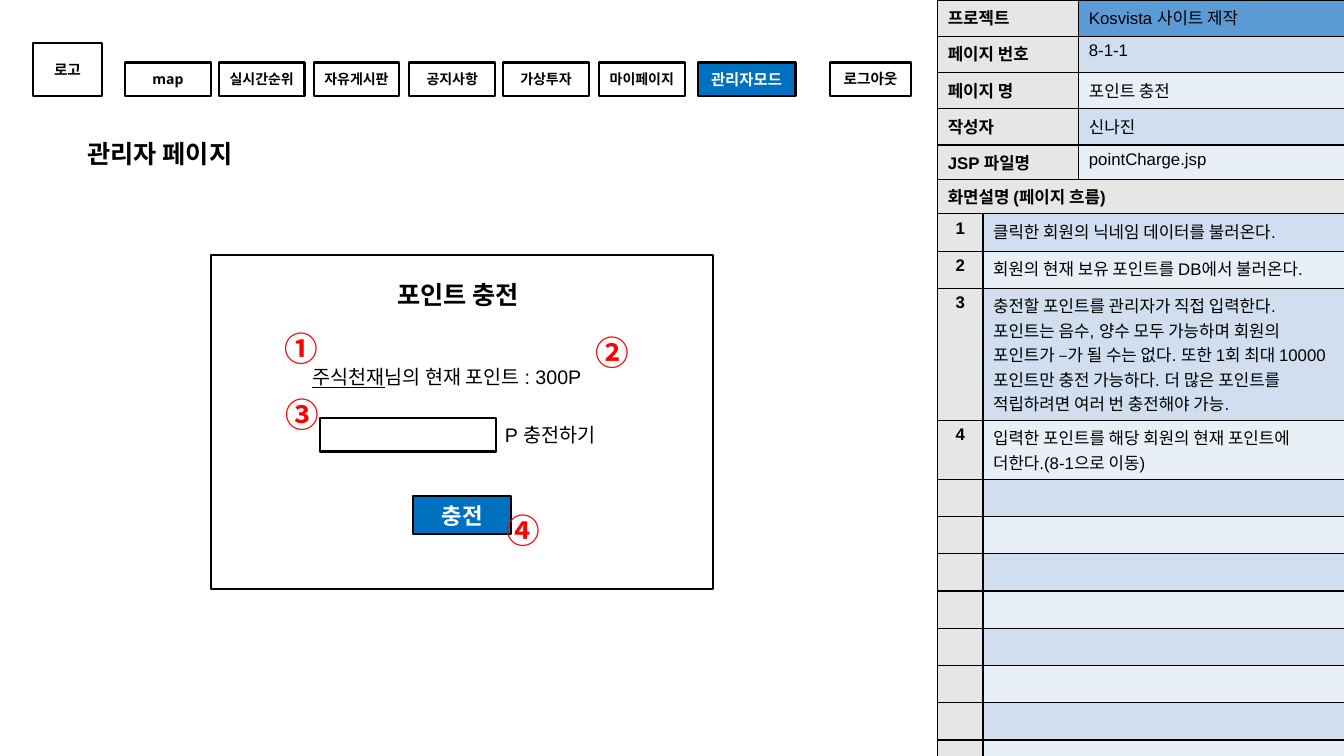
from lxml import etree
from pptx import Presentation
from pptx import util as u
from pptx.dml.color import RGBColor
from pptx.enum import shapes, text
from pptx.oxml import ns

PX = 9144  # 100 px to the inch
BLACK = RGBColor(0x00, 0x00, 0x00)
WHITE = RGBColor(0xFF, 0xFF, 0xFF)
RED = RGBColor(0xFF, 0x00, 0x00)
BLUE = RGBColor(0x00, 0x70, 0xC0)
GREY = RGBColor(0xE7, 0xE6, 0xE6)
TITLE_BLUE = RGBColor(0x5B, 0x9B, 0xD5)
BANDS = RGBColor(0xD0, 0xDE, 0xEF), RGBColor(0xE9, 0xEF, 0xF7)
CENTER = text.PP_ALIGN.CENTER


class Wireframe:
    """Draws the elements of one slide in a common style."""

    ui_font, body_font, mark_font = "Open Sans", "Arial", "Noto Sans CJK KR"

    def __init__(self, slide):
        self.s = slide

    def style(self, p, font, size, color=BLACK, bold=False, align=None):
        p.alignment = align
        f = p.font
        f.name, f.size, f.bold = font, u.Pt(size), bold
        f.color.rgb = color

    def frame(self, sp, margins, middle=False):
        tf = sp.text_frame
        tf.word_wrap = True
        tf.margin_left = tf.margin_right = margins[0] * PX
        tf.margin_top = tf.margin_bottom = margins[1] * PX
        tf.vertical_anchor = text.MSO_ANCHOR.MIDDLE if middle else text.MSO_ANCHOR.TOP
        return tf

    def box(self, x, y, w, h, label="", size=10, fill=None, color=BLACK, inset=10):
        sp = self.s.shapes.add_shape(
            shapes.MSO_SHAPE.RECTANGLE, x * PX, y * PX, w * PX, h * PX)
        sp.shadow.inherit = False
        if fill is None:
            sp.fill.background()
        else:
            sp.fill.solid()
            sp.fill.fore_color.rgb = fill
        sp.line.color.rgb = BLACK
        sp.line.width = u.Pt(1.5)
        if label:
            p = self.frame(sp, (inset, 10), middle=True).paragraphs[0]
            p.add_run().text = label
            self.style(p, self.ui_font, size, color, True, CENTER)

    def textbox(self, x, y, w, h, margins=(10, 5), middle=False):
        sp = self.s.shapes.add_textbox(x * PX, y * PX, w * PX, h * PX)
        return self.frame(sp, margins, middle)

    def heading(self, x, y, label):
        p = self.textbox(x, y, 181, 37, (10, 10), middle=True).paragraphs[0]
        p.add_run().text = label
        self.style(p, self.ui_font, 18, bold=True, align=CENTER)

    def sentence(self, x, y, w, *parts):
        tf = self.textbox(x, y, w, 34)
        tf.auto_size = text.MSO_AUTO_SIZE.SHAPE_TO_FIT_TEXT
        p = tf.paragraphs[0]
        for part, underlined in parts:
            r = p.add_run()
            r.text = part
            if underlined:
                r.font.underline = True
        self.style(p, self.body_font, 14)

    def marker(self, x, y, sign):
        p = self.textbox(x, y, 60, 50).paragraphs[0]
        r = p.add_run()
        r.text = sign
        self.style(p, self.mark_font, 24, RED, True)
        ea = etree.SubElement(r._r.get_or_add_rPr(), ns.qn("a:ea"))
        ea.set("typeface", self.mark_font)

    def table(self, x, y, widths, heights):
        gf = self.s.shapes.add_table(
            len(heights), len(widths), x * PX, y * PX, sum(widths) * PX, sum(heights) * PX)
        tbl = gf.table
        tbl.first_row = tbl.horz_banding = False
        for col, w in zip(tbl.columns, widths):
            col.width = w * PX
        for row, h in zip(tbl.rows, heights):
            row.height = h * PX
        return tbl

    def cell(self, cell, content, fill, bold=False, align=None):
        tcPr = cell._tc.get_or_add_tcPr()
        for side in ("lnL", "lnR", "lnT", "lnB"):
            ln = etree.SubElement(tcPr, ns.qn("a:" + side), w=str(u.Pt(1)))
            paint = etree.SubElement(ln, ns.qn("a:solidFill"))
            etree.SubElement(paint, ns.qn("a:srgbClr"), val=str(BLACK))
        cell.fill.solid()
        cell.fill.fore_color.rgb = fill
        cell.text_frame.text = content
        for p in cell.text_frame.paragraphs:
            self.style(p, self.body_font, 12, BLACK, bold, align)
            if not content:
                etree.SubElement(p._p, ns.qn("a:endParaRPr"), sz="1200")


PROJECT = [
    ("프로젝트", "Kosvista 사이트 제작"),
    ("페이지 번호", "8-1-1"),
    ("페이지 명", "포인트 충전"),
    ("작성자", "신나진"),
    ("JSP 파일명", "pointCharge.jsp"),
]
STEPS = [
    "클릭한 회원의 닉네임 데이터를 불러온다.",
    "회원의 현재 보유 포인트를 DB에서 불러온다.",
    "충전할 포인트를 관리자가 직접 입력한다.\n"
    "포인트는 음수, 양수 모두 가능하며 회원의 포인트가 –가 될 수는 없다. "
    "또한 1회 최대 10000포인트만 충전 가능하다. "
    "더 많은 포인트를 적립하려면 여러 번 충전해야 가능.",
    "입력한 포인트를 해당 회원의 현재 포인트에 더한다.(8-1으로 이동)",
]
SPARE_ROWS = 8
MENU = [  # left, label, side inset
    (124, "map", 10),
    (217, "실시간순위", 0),
    (311, "자유게시판", 0),
    (406, "공지사항", 0),
    (499, "가상투자", 10),
    (594, "마이페이지", 0),
]
MARKERS = [(272, 320, "①"), (581, 324, "②"), (273, 386, "③"), (493, 501, "④")]


def main():
    prs = Presentation()
    prs.slide_width, prs.slide_height = 1333 * PX, 750 * PX
    w = Wireframe(prs.slides.add_slide(prs.slide_layouts[6]))

    # Charge panel outline
    w.box(209, 253, 498, 331)

    # Project table
    tbl = w.table(930, 0, [140, 264], [36] * len(PROJECT))
    for i, (name, value) in enumerate(PROJECT):
        w.cell(tbl.cell(i, 0), name, GREY, bold=True)
        w.cell(tbl.cell(i, 1), value, BANDS[(i + 1) % 2] if i else TITLE_BLUE)

    # Screen description table
    tbl = w.table(930, 178, [45, 359], [31, 37, 37, 115, 52] + [37] * SPARE_ROWS)
    w.cell(tbl.cell(0, 0), "화면설명 (페이지 흐름)", GREY, bold=True)
    w.cell(tbl.cell(0, 1), "", GREY)
    tbl.cell(0, 0).merge(tbl.cell(0, 1))
    for i, step in enumerate(STEPS + [""] * SPARE_ROWS):
        number = str(i + 1) if step else ""
        w.cell(tbl.cell(i + 1, 0), number, GREY, bold=True, align=CENTER)
        w.cell(tbl.cell(i + 1, 1), step, BANDS[i % 2])

    # Navigation bar
    w.box(33, 43, 68, 52, "로고", 10.5)
    for x, label, inset in MENU:
        w.box(x, 62, 85, 33, label, inset=inset)
    w.box(692, 62, 97, 33, "관리자모드", 11, BLUE, WHITE)
    w.box(823, 62, 81, 33, "로그아웃", 10.5)

    # Page heading and charge form
    w.heading(68, 134, "관리자 페이지")
    w.heading(364, 274, "포인트 충전")
    w.sentence(300, 357, 363, ("주식천재", True), ("님의 현재 포인트 : 300P", False))
    w.box(317, 415, 175, 33)
    w.sentence(491, 415, 128, ("P 충전하기", False))
    w.box(410, 492, 97, 38, "충전", 16, BLUE, WHITE)

    # Step markers
    for x, y, sign in MARKERS:
        w.marker(x, y, sign)

    prs.save("out.pptx")


if __name__ == "__main__":
    main()
